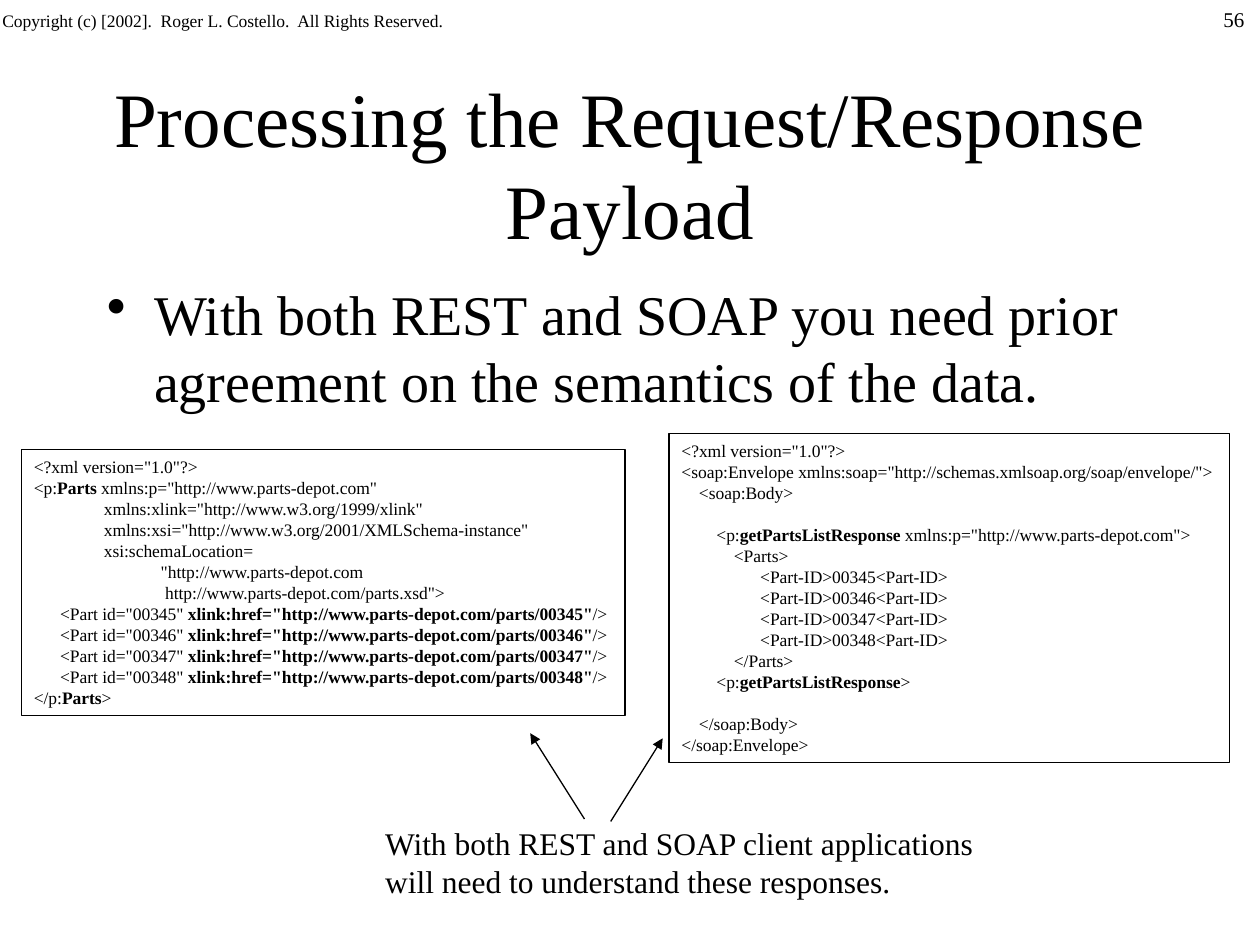
from dataclasses import dataclass

from lxml.etree import SubElement
from pptx import Presentation
from pptx.dml.color import RGBColor
from pptx.enum.shapes import MSO_CONNECTOR as Connector, MSO_SHAPE as Shape
from pptx.enum.text import MSO_ANCHOR as Anchor, PP_ALIGN as Align
from pptx.oxml.ns import qn
from pptx.util import Pt


@dataclass(frozen=True)
class Theme:
    font: str = "Times New Roman"
    ink: RGBColor = RGBColor(0, 0, 0)
    paper: RGBColor = RGBColor(255, 255, 255)
    title: int = 44
    body: int = 32
    caption: int = 18
    number: int = 12
    small: int = 10
    line: float = 0.75


THEME = Theme()
BLANK_LINE = 12

COPYRIGHT = "Copyright (c) [2002].  Roger L. Costello.  All Rights Reserved."
PAGE_NUMBER = "56"
TITLE = "Processing the Request/Response Payload"
BODY = "With both REST and SOAP you need prior agreement on the semantics of the data."
CAPTION = ["With both REST and SOAP client applications",
           "will need to understand these responses."]
PART_IDS = ["00345", "00346", "00347", "00348"]

# Code lines: indent in points, text with ** around bold, blank lines before
SOAP_CODE = [
    (0, '<?xml version="1.0"?>', 0),
    (0, '<soap:Envelope xmlns:soap="http://schemas.xmlsoap.org/soap/envelope/">', 0),
    (10, "<soap:Body>", 0),
    (20, '<p:**getPartsListResponse** xmlns:p="http://www.parts-depot.com">', 1),
    (30, "<Parts>", 0),
    *[(45, f"<Part-ID>{part}<Part-ID>", 0) for part in PART_IDS],
    (30, "</Parts>", 0),
    (20, "<p:**getPartsListResponse**>", 0),
    (10, "</soap:Body>", 1),
    (0, "</soap:Envelope>", 0),
]
REST_CODE = [
    (0, '<?xml version="1.0"?>', 0),
    (0, '<p:**Parts** xmlns:p="http://www.parts-depot.com"', 0),
    (40, 'xmlns:xlink="http://www.w3.org/1999/xlink"', 0),
    (40, 'xmlns:xsi="http://www.w3.org/2001/XMLSchema-instance"', 0),
    (40, "xsi:schemaLocation=", 0),
    (72.5, '"http://www.parts-depot.com', 0),
    (75, 'http://www.parts-depot.com/parts.xsd">', 0),
    *[(15, f'<Part id="{part}" **xlink:href="http://www.parts-depot.com/parts/{part}"**/>', 0)
      for part in PART_IDS],
    (0, "</p:**Parts**>", 0),
]

# Left, top, width, height
CODE_BOXES = [
    (SOAP_CODE, (382.32, 247.68, 320.4, 187.92)),
    (REST_CODE, (12.24, 257.04, 344.88, 151.92)),
]
# Start x, start y, end x, end y
ARROWS = [(334, 468, 303, 419), (349, 469.4, 378.7, 421.9)]


def style(span, size, bold=False):
    span.font.name = THEME.font
    span.font.size = Pt(size)
    span.font.bold = bold
    span.font.color.rgb = THEME.ink


def add_text(page, place, lines, size, wrap=False):
    box = page.shapes.add_textbox(*map(Pt, place))
    frame = box.text_frame
    frame.word_wrap = wrap
    frame.text = "\n".join(lines)
    for para in frame.paragraphs:
        style(para.runs[0], size)
    return frame


def set_indent(para, margin, first=0):
    properties = para._p.get_or_add_pPr()
    properties.set("marL", str(Pt(margin)))
    properties.set("indent", str(Pt(first)))
    return properties


def add_code(page, lines, place):
    box = page.shapes.add_shape(Shape.RECTANGLE, *map(Pt, place))
    box.shadow.inherit = False
    box.fill.background()
    box.line.color.rgb = THEME.ink
    box.line.width = Pt(THEME.line)
    frame = box.text_frame
    frame.word_wrap = False
    frame.vertical_anchor = Anchor.TOP
    for index, (indent, text, blanks) in enumerate(lines):
        para = frame.add_paragraph() if index else frame.paragraphs[0]
        para.alignment = Align.LEFT
        para.space_before = Pt(blanks * BLANK_LINE)
        set_indent(para, indent)
        for position, piece in enumerate(text.split("**")):
            span = para.add_run()
            span.text = piece
            style(span, THEME.small, bold=position % 2 == 1)


def add_arrow(page, ends):
    arrow = page.shapes.add_connector(Connector.STRAIGHT, *map(Pt, ends))
    arrow.line.color.rgb = THEME.ink
    arrow.line.width = Pt(THEME.line)
    SubElement(arrow.line._get_or_add_ln(), qn("a:tailEnd"), type="triangle")
    SubElement(arrow._element.spPr, qn("a:effectLst"))


def main():
    deck = Presentation()
    deck.slide_width, deck.slide_height = Pt(720), Pt(540)
    page = deck.slides.add_slide(deck.slide_layouts[6])
    page.background.fill.solid()
    page.background.fill.fore_color.rgb = THEME.paper

    notice = add_text(page, (-5.76, -12.24, 274.32, 36), [COPYRIGHT], THEME.small, wrap=True)
    notice.vertical_anchor = Anchor.BOTTOM
    notice.margin_bottom = Pt(6)
    add_text(page, (692, 0, 28, 21.6), [PAGE_NUMBER], THEME.number)

    title = add_text(page, (54, 48, 612, 90), [TITLE], THEME.title, wrap=True)
    title.vertical_anchor = Anchor.MIDDLE
    title.paragraphs[0].alignment = Align.CENTER

    body = add_text(page, (54, 156, 612, 102), [BODY], THEME.body, wrap=True)
    bullet = body.paragraphs[0]
    bullet.space_before = Pt(THEME.body * 0.2)
    SubElement(set_indent(bullet, 27, -27), qn("a:buChar"), char="•")

    for lines, place in CODE_BOXES:
        add_code(page, lines, place)
    for ends in ARROWS:
        add_arrow(page, ends)
    add_text(page, (213, 467.3, 352.8, 50.4), CAPTION, THEME.caption)

    deck.save("out.pptx")


if __name__ == "__main__":
    main()
